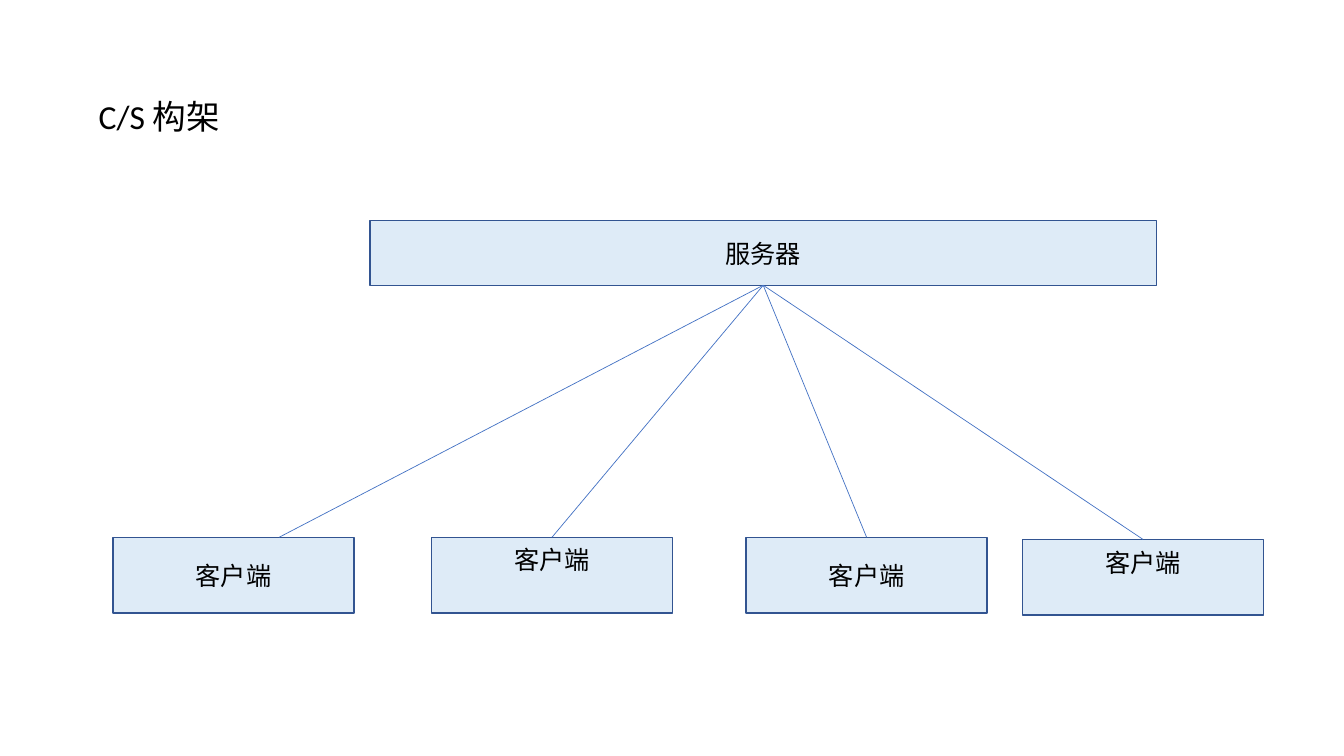
from dataclasses import dataclass

from lxml import etree
from pptx import Presentation
from pptx.dml.color import RGBColor
from pptx.enum.shapes import MSO_CONNECTOR, MSO_SHAPE
from pptx.enum.text import MSO_ANCHOR, PP_ALIGN
from pptx.oxml.ns import qn
from pptx.util import Inches, Pt

COLORS = {"fill": "DEEBF7", "border": "325491", "link": "4472C4", "text": "000000"}
FONT = "Calibri"
SLIDE_W, SLIDE_H = 13.33, 7.5
CLIENT_W, CLIENT_H, CLIENT_TOP = 2.39, 0.75, 5.33
INSET, RAISED_INSET = 0.05, 0.35


@dataclass(frozen=True)
class Node:
    """A labelled box; link_x is the share of its width where its link ends."""
    label: str
    left: float
    top: float
    width: float
    height: float
    bottom_inset: float = INSET
    link_x: float = 0.5

    @property
    def link_end(self) -> tuple[float, float]:
        """Point on the top edge where the link arrives."""
        return self.left + self.width * self.link_x, self.top

    @property
    def bottom_center(self) -> tuple[float, float]:
        """Point in the middle of the bottom edge."""
        return self.left + self.width / 2, self.top + self.height


def client(left: float, drop: float = 0, bottom_inset: float = INSET,
           link_x: float = 0.5) -> Node:
    """Make a client node in the bottom row, lowered by drop."""
    return Node("客户端", left, CLIENT_TOP + drop, CLIENT_W, CLIENT_H,
                bottom_inset, link_x)


SERVER = Node("服务器", 3.67, 2.19, 7.8, 0.64)
CLIENTS = (
    client(1.12, link_x=0.69),
    client(4.28, bottom_inset=RAISED_INSET),
    client(7.4),
    client(10.14, drop=0.02, bottom_inset=RAISED_INSET),
)


def color(name: str) -> RGBColor:
    """Look up a named colour."""
    return RGBColor.from_string(COLORS[name])


def write(paragraph, text: str, size: float) -> None:
    """Add a run of text in the slide's font."""
    run = paragraph.add_run()
    run.text = text
    run.font.name = FONT
    run.font.size = Pt(size)
    run.font.color.rgb = color("text")


def draw_title(slide, text: str) -> None:
    """Draw the heading at the top of the content area."""
    box = slide.shapes.add_textbox(Inches(0.88), Inches(0.95),
                                   Inches(11.65), Inches(5.74))
    box.text_frame.word_wrap = True
    paragraph = box.text_frame.paragraphs[0]
    paragraph.line_spacing = 0.9
    paragraph.space_before = Pt(10)
    write(paragraph, text, 24)


def draw_node(slide, node: Node) -> None:
    """Draw a box with its centred label."""
    box = slide.shapes.add_shape(
        MSO_SHAPE.RECTANGLE, Inches(node.left), Inches(node.top),
        Inches(node.width), Inches(node.height))
    box.shadow.inherit = False
    box.fill.solid()
    box.fill.fore_color.rgb = color("fill")
    box.line.color.rgb = color("border")
    box.line.width = Pt(1)
    frame = box.text_frame
    frame.word_wrap = True
    frame.vertical_anchor = MSO_ANCHOR.MIDDLE
    frame.margin_top = Inches(INSET)
    frame.margin_bottom = Inches(node.bottom_inset)
    frame.paragraphs[0].alignment = PP_ALIGN.CENTER
    write(frame.paragraphs[0], node.label, 18)


def draw_link(slide, server: Node, target: Node) -> None:
    """Draw the line from the server down to a client."""
    points = (*server.bottom_center, *target.link_end)
    link = slide.shapes.add_connector(
        MSO_CONNECTOR.STRAIGHT, *(Inches(value) for value in points))
    link.line.color.rgb = color("link")
    link.line.width = Pt(0.5)
    etree.SubElement(link._element.spPr, qn("a:effectLst"))


def main() -> None:
    """Build the architecture slide and save it."""
    deck = Presentation()
    deck.slide_width, deck.slide_height = Inches(SLIDE_W), Inches(SLIDE_H)
    slide = deck.slides.add_slide(deck.slide_layouts[6])
    draw_title(slide, "C/S 构架")
    for node in (*CLIENTS, SERVER):
        draw_node(slide, node)
    for node in CLIENTS:
        draw_link(slide, SERVER, node)
    deck.save("out.pptx")


main()
